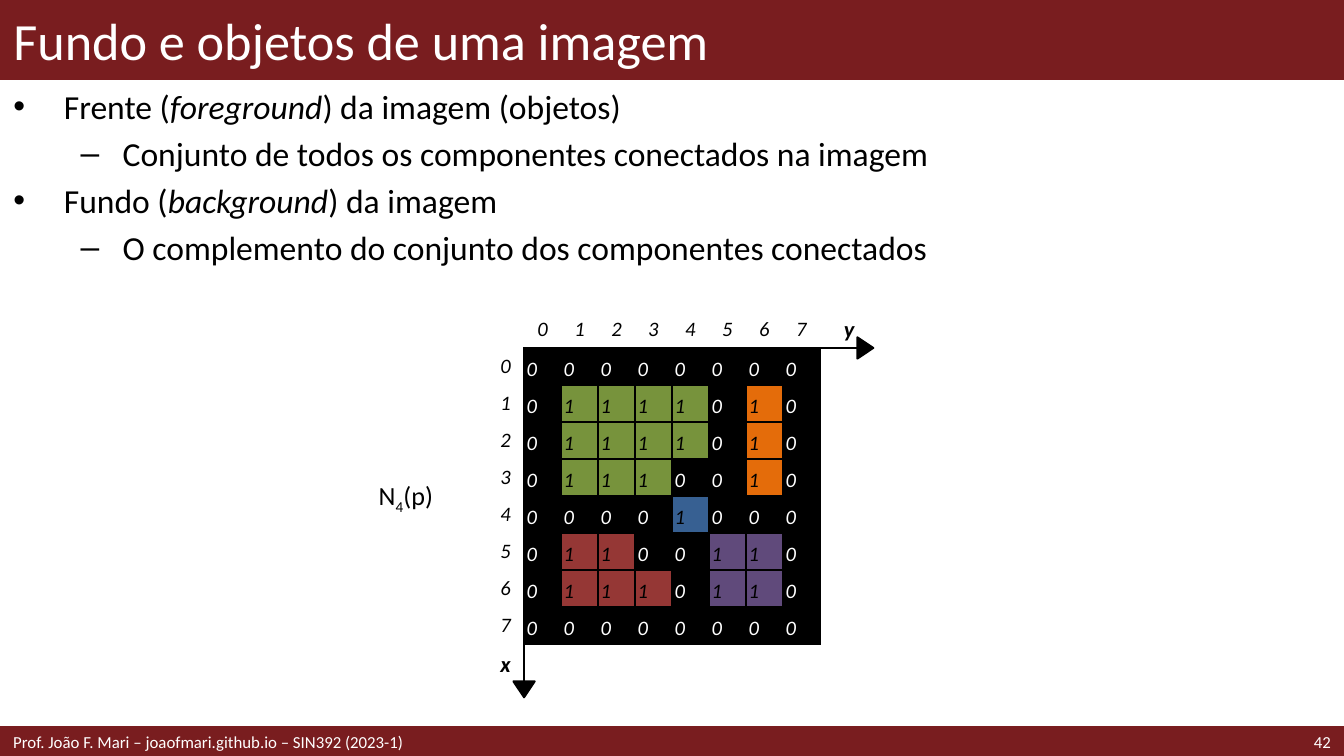
"""Build the slide on foreground and background of a labelled image."""
from lxml.etree import SubElement as Sub
from pptx import Presentation
from pptx.dml.color import RGBColor
from pptx.enum.shapes import MSO_SHAPE as Shape
from pptx.enum.text import MSO_ANCHOR as Anchor, MSO_AUTO_SIZE as Auto, PP_ALIGN as Align
from pptx.oxml.ns import qn
from pptx.util import Pt

WINE = RGBColor(0x79, 0x1D, 0x1F)
WHITE = RGBColor(255, 255, 255)
BLACK = RGBColor(0, 0, 0)
PAINT = {
    "0": BLACK,
    "G": RGBColor(0x77, 0x93, 0x3C),
    "O": RGBColor(0xE4, 0x6C, 0x0A),
    "B": RGBColor(0x37, 0x60, 0x92),
    "R": RGBColor(0x95, 0x37, 0x35),
    "P": RGBColor(0x60, 0x4A, 0x7B),
}
FACE = "Calibri"
NO_STYLE = "{2D5ABB26-0587-4C30-8999-92F81FD0307C}"
WIDE, HIGH, HEAD, FOOT = 720, 405, 42.5, 15
LEFT, TOP, STEP, INSET = 260.9, 166.6, 19.84, 1.44
TIP_WIDE, TIP_HIGH = 11.5, 8.6

TITLE = "Fundo e objetos de uma imagem"
BODY = [
    (0, [("Frente (", False), ("foreground", True), (") da imagem (objetos)", False)]),
    (1, [("Conjunto de todos os componentes conectados na imagem", False)]),
    (0, [("Fundo (", False), ("background", True), (") da imagem", False)]),
    (1, [("O complemento do conjunto dos componentes conectados", False)]),
]
INDENT = [(27, -27), (58.5, -22.5)]
CREDIT = "Prof. João F. Mari – joaofmari.github.io – SIN392 (2023-1)"
PAGE = "42"
GRID = [
    "00000000",
    "0GGGG0O0",
    "0GGGG0O0",
    "0GGG00O0",
    "0000B000",
    "0RR00PP0",
    "0RRR0PP0",
    "00000000",
]
SIDE = len(GRID)
LAST = SIDE + 1
HOOD = [("N", None), ("4", "-25000"), ("(p)", None)]


def apply(item, style):
    for name, value in style.items():
        setattr(item, name, value)


def write(para, text, size, tint=BLACK, **style):
    run = para.add_run()
    run.text = text
    apply(run.font, dict(name=FACE, size=Pt(size), **style))
    run.font.color.rgb = tint
    return run


def place(item, left, top, width, height):
    apply(item, dict(left=Pt(left), top=Pt(top), width=Pt(width), height=Pt(height)))


def draw(slide, kind, box, tint, weight, turn=0):
    shape = slide.shapes.add_shape(kind, *map(Pt, box))
    shape.shadow.inherit = False
    shape.fill.solid()
    shape.fill.fore_color.rgb = shape.line.color.rgb = tint
    shape.line.width = Pt(weight)
    shape.rotation = turn
    return shape


def label(slide, box, wrap=True):
    frame = slide.shapes.add_textbox(*map(Pt, box)).text_frame
    frame.word_wrap = wrap
    return frame


def edge(cell, sides):
    for side in "LRTB":
        line = Sub(cell._tc.get_or_add_tcPr(), qn("a:ln" + side), w=str(Pt(1)))
        if side in sides:
            Sub(Sub(line, qn("a:solidFill")), qn("a:srgbClr"), val=str(BLACK))
        else:
            Sub(line, qn("a:noFill"))


def ruled(row, col):
    inrow, incol = 0 < row <= SIDE, 0 < col <= SIDE
    inside = inrow and incol
    rules = {
        "L": inside or col == LAST and inrow or (row, col) == (LAST, 1),
        "R": inside or col == 0 and row > 0,
        "T": inside or row == LAST and incol or (row, col) == (1, LAST),
        "B": inside or row == 0 and col > 0,
    }
    return [side for side, shown in rules.items() if shown]


def look(row, col):
    inrow, incol = 0 < row <= SIDE, 0 < col <= SIDE
    if inrow and incol:
        code = GRID[row - 1][col - 1]
        text, tint = ("0", WHITE) if code == "0" else ("1", BLACK)
        return text, tint, Align.LEFT, Anchor.BOTTOM, False, PAINT[code]
    text, bold, align, anchor = "", False, Align.CENTER, Anchor.MIDDLE
    if row == 0 and incol:
        text = str(col - 1)
    elif col == 0 and inrow:
        text = str(row - 1)
    elif (row, col) == (0, LAST):
        text, bold, align = "y", True, Align.RIGHT
    elif (row, col) == (LAST, 0):
        text, bold, anchor = "x", True, Anchor.BOTTOM
    return text, BLACK, align, anchor, bold, None


def matrix(slide):
    count = SIDE + 2
    box = (LEFT, TOP, count * STEP, count * STEP)
    table = slide.shapes.add_table(count, count, *map(Pt, box)).table
    apply(table, dict(first_row=False, horz_banding=False))
    table._tbl.tblPr.find(qn("a:tableStyleId")).text = NO_STYLE
    for num in range(count):
        table.columns[num].width = table.rows[num].height = Pt(STEP)
    for row in range(count):
        for col in range(count):
            cell = table.cell(row, col)
            text, tint, align, anchor, bold, paint = look(row, col)
            for side in ("left", "right", "top", "bottom"):
                setattr(cell, "margin_" + side, Pt(INSET))
            cell.vertical_anchor = anchor
            edge(cell, ruled(row, col))
            if paint is None:
                cell.fill.background()
            else:
                cell.fill.solid()
                cell.fill.fore_color.rgb = paint
            para = cell.text_frame.paragraphs[0]
            para.alignment = align
            if text:
                write(para, text, 12 if bold else 11, tint, italic=True, bold=bold)
            else:
                Sub(para._p, qn("a:endParaRPr"), sz="1100")

    end = count * STEP
    half, mid = TIP_HIGH / 2, TIP_WIDE / 2
    for x, y, turn in (
        (LEFT + end + half, TOP + STEP, 90),
        (LEFT + STEP, TOP + end + half, 180),
    ):
        tip = (x - mid, y - half, TIP_WIDE, TIP_HIGH)
        draw(slide, Shape.ISOSCELES_TRIANGLE, tip, BLACK, 1, turn)


def main():
    deck = Presentation()
    apply(deck, dict(slide_width=Pt(WIDE), slide_height=Pt(HIGH)))
    slide = deck.slides.add_slide(deck.slide_layouts[1])
    title, body = slide.placeholders
    base = HIGH - FOOT

    for top, tall, weight in ((0, HEAD, 1), (base, FOOT, 2)):
        bar = draw(slide, Shape.RECTANGLE, (0, top, WIDE, tall), WINE, weight)
        title._element.addprevious(bar._element)

    place(title, 0, 0, WIDE, HEAD)
    frame = title.text_frame
    apply(frame, dict(vertical_anchor=Anchor.MIDDLE, auto_size=Auto.NONE))
    frame.paragraphs[0].alignment = Align.LEFT
    write(frame.paragraphs[0], TITLE, 28, WHITE)

    place(body, 0, HEAD, WIDE, base - HEAD)
    frame = body.text_frame
    frame.auto_size = Auto.NONE
    for num, (level, runs) in enumerate(BODY):
        para = frame.add_paragraph() if num else frame.paragraphs[0]
        apply(para, dict(level=level, space_before=Pt(3.6 if num else 0)))
        for name, value in zip(("marL", "indent"), INDENT[level]):
            para._p.get_or_add_pPr().set(name, str(Pt(value)))
        for text, slant in runs:
            write(para, text, 18, italic=slant)

    for text, left, width, align in (
        (PAGE, 638, 82, Align.RIGHT),
        (CREDIT, 0, 496, Align.LEFT),
    ):
        frame = label(slide, (left, base, width, FOOT))
        frame.vertical_anchor = Anchor.MIDDLE
        frame.paragraphs[0].alignment = align
        write(frame.paragraphs[0], text, 9, WHITE)

    matrix(slide)
    frame = label(slide, (195.8, 253.4, 44.6, 24.5), False)
    frame.auto_size = Auto.SHAPE_TO_FIT_TEXT
    for text, shift in HOOD:
        run = write(frame.paragraphs[0], text, 14)
        if shift:
            run.font._element.set("baseline", shift)

    deck.save("out.pptx")


if __name__ == "__main__":
    main()
